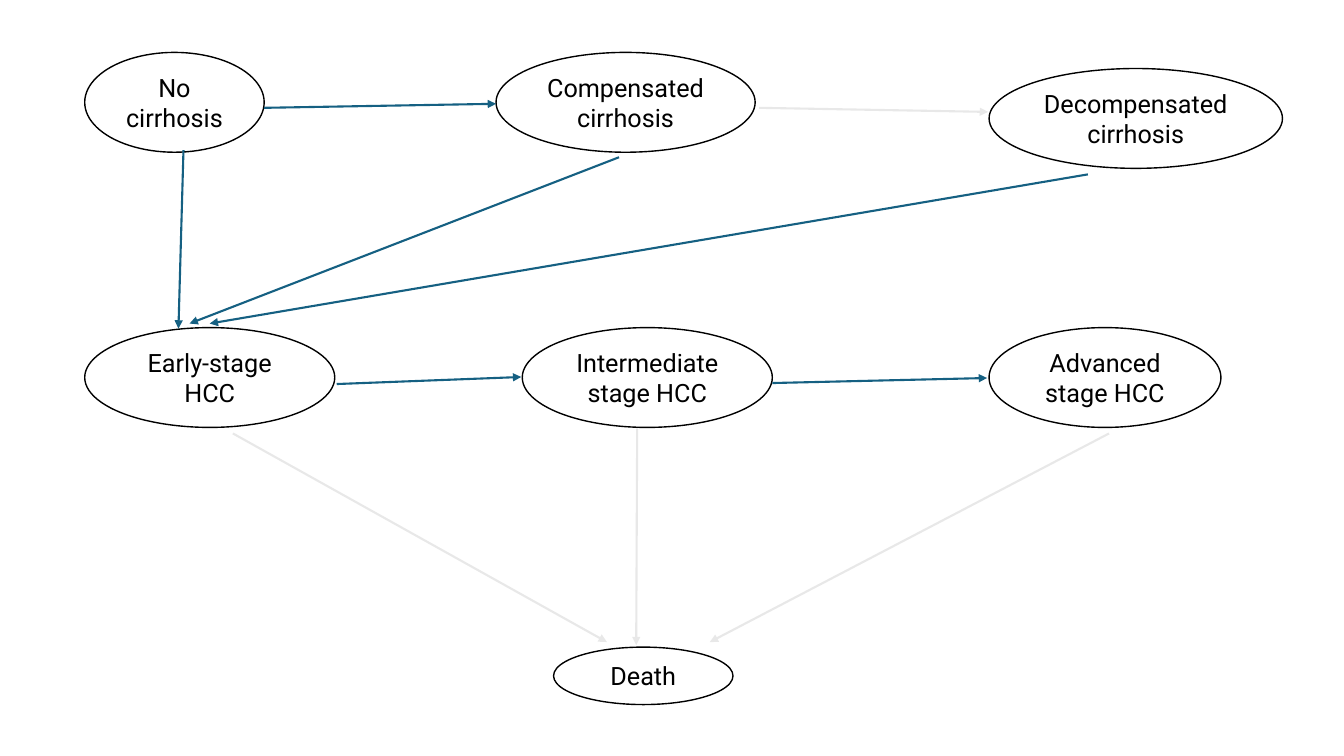
from dataclasses import dataclass

from lxml import etree
from pptx import Presentation
from pptx import util as u
from pptx.dml.color import RGBColor
from pptx.enum import shapes, text
from pptx.oxml.ns import qn

PX = 9144


@dataclass(frozen=True)
class Theme:
    font: str = "Roboto"
    text_size: int = 18
    outline_width: float = 1
    arrow_width: float = 1.5
    ink: str = "000000"
    active: str = "156082"
    muted: str = "E8E8E8"


THEME = Theme()

STATES = [
    ("Compensated cirrhosis", 492, 52, 257, 99),
    ("Decompensated cirrhosis", 981, 68, 291, 99),
    ("No cirrhosis", 84, 52, 178, 99),
    ("Death", 549, 642, 178, 57),
    ("Early-stage HCC", 84, 325, 248, 99),
    ("Intermediate stage HCC", 518, 325, 248, 99),
    ("Advanced stage HCC", 981, 325, 230, 99),
]

TRANSITIONS = [
    (182, 149, 177, 326, THEME.active),
    (1079, 173, 208, 321, THEME.active),
    (614, 156, 188, 321, THEME.active),
    (231, 430, 602, 637, THEME.muted),
    (632, 425, 631, 640, THEME.muted),
    (1100, 430, 704, 637, THEME.muted),
    (753, 107, 980, 111, THEME.muted),
    (262, 107, 492, 103, THEME.active),
    (334, 381, 517, 374, THEME.active),
    (766, 380, 979, 375, THEME.active),
]


def style_line(line, color, width):
    line.color.rgb = RGBColor.from_string(color)
    line.width = u.Pt(width)


def add_state(slide, label, *box):
    shape = slide.shapes.add_shape(
        shapes.MSO_SHAPE.OVAL, *(value * PX for value in box)
    )
    shape.shadow.inherit = False
    shape.fill.background()
    style_line(shape.line, THEME.ink, THEME.outline_width)
    frame = shape.text_frame
    frame.word_wrap = True
    frame.auto_size = text.MSO_AUTO_SIZE.SHAPE_TO_FIT_TEXT
    frame.vertical_anchor = text.MSO_ANCHOR.MIDDLE
    paragraph = frame.paragraphs[0]
    paragraph.alignment = text.PP_ALIGN.CENTER
    run = paragraph.add_run()
    run.text = label
    run.font.name = THEME.font
    run.font.size = u.Pt(THEME.text_size)
    run.font.color.rgb = RGBColor.from_string(THEME.ink)


def add_transition(slide, *ends, color):
    connector = slide.shapes.add_connector(
        shapes.MSO_CONNECTOR.STRAIGHT, *(value * PX for value in ends)
    )
    style_line(connector.line, color, THEME.arrow_width)
    properties = connector._element.spPr
    outline = properties.find(qn("a:ln"))
    etree.SubElement(outline, qn("a:tailEnd"), type="triangle")
    etree.SubElement(properties, qn("a:effectLst"))


def main():
    presentation = Presentation()
    presentation.slide_width = 1333 * PX
    presentation.slide_height = 750 * PX
    slide = presentation.slides.add_slide(presentation.slide_layouts[6])
    for label, *box in STATES:
        add_state(slide, label, *box)
    for *ends, color in TRANSITIONS:
        add_transition(slide, *ends, color=color)
    presentation.save("out.pptx")


if __name__ == "__main__":
    main()
